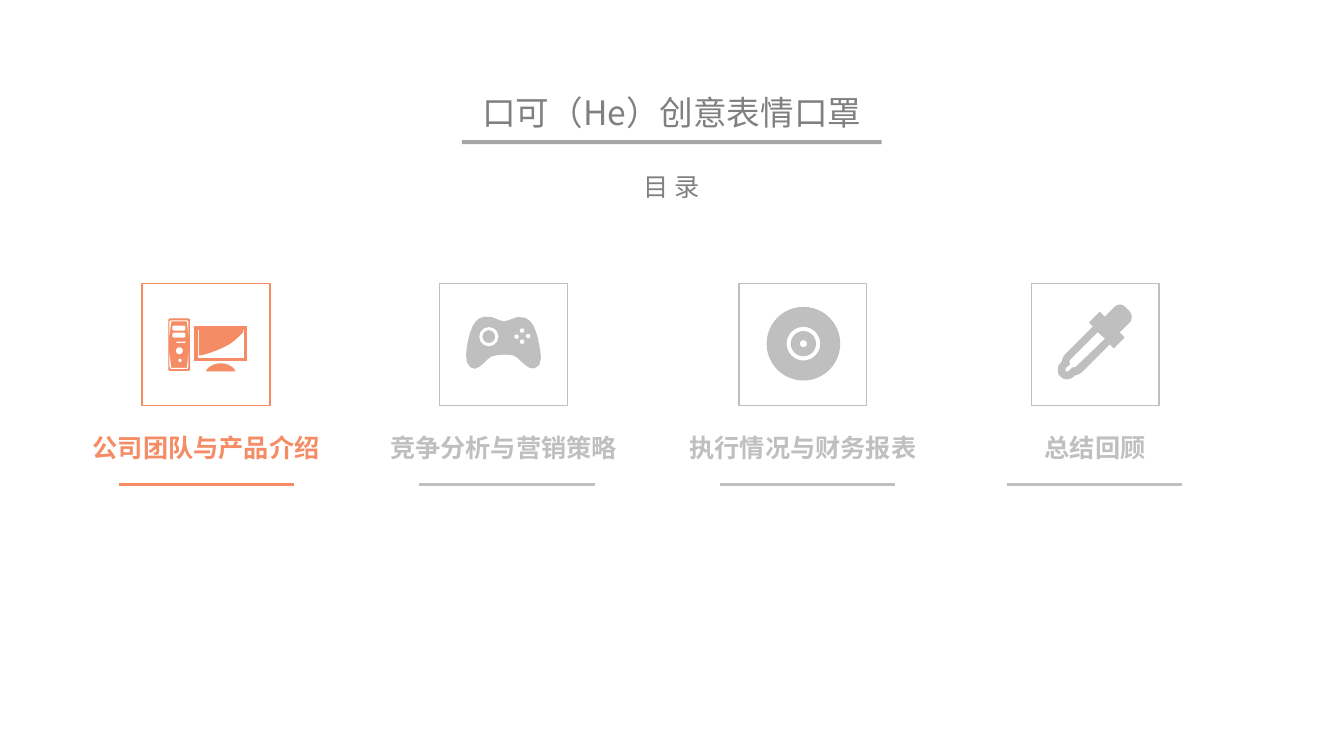
from lxml.etree import SubElement
from pptx import Presentation
from pptx.dml.color import RGBColor
from pptx.enum.shapes import MSO_CONNECTOR, MSO_SHAPE
from pptx.enum.text import PP_ALIGN
from pptx.oxml.ns import qn
from pptx.util import Pt

FONT = "Noto Sans CJK SC"
ORANGE = RGBColor(0xF5, 0x8C, 0x65)
SILVER = RGBColor(0xBF, 0xBF, 0xBF)
TEXT_GRAY = RGBColor(0x80, 0x80, 0x80)
BAR_GRAY = RGBColor(0xA6, 0xA6, 0xA6)
WHITE = RGBColor(0xFF, 0xFF, 0xFF)
UNIT = 0.72
FINE = 100
FRAME_W, FRAME_H = 91.4, 87.4
RULE_W = 125.2
OVAL, DONUT = MSO_SHAPE.OVAL, MSO_SHAPE.DONUT
ROUNDED, SCREEN = MSO_SHAPE.ROUNDED_RECTANGLE, MSO_SHAPE.FRAME


def curve(start, *segments):
    """Return the points of an outline; pairs are lines, sextuples are Bézier curves."""
    points = [start]
    for seg in segments:
        if len(seg) == 2:
            points.append(seg)
            continue
        (x0, y0), (x1, y1, x2, y2, x3, y3) = points[-1], seg
        steps = 5 if abs(x3 - x0) + abs(y3 - y0) > 9 else 2
        for i in range(1, steps + 1):
            t, u = i / steps, 1 - i / steps
            a, b, c, d = u ** 3, 3 * u * u * t, 3 * u * t * t, t ** 3
            points.append((a * x0 + b * x1 + c * x2 + d * x3,
                           a * y0 + b * y1 + c * y2 + d * y3))
    return points


GLARE = [curve((81, 63), (71, 68, 57, 72, 57, 71), (57, 46), (100, 46), (100, 48),
               (100, 48, 91, 59, 81, 63))]
STAND = [curve((78, 80), (72, 80, 66, 83, 64, 87), (92, 87), (90, 83, 84, 80, 78, 80))]
GAMEPAD = [curve((97, 54), (94, 44, 91, 33, 78, 34), (73, 35, 69, 38, 64, 38),
                 (59, 38, 56, 35, 51, 34), (39, 32, 35, 38, 31, 49),
                 (29, 56, 23, 78, 31, 83), (38, 89, 46, 74, 52, 72),
                 (58, 70, 69, 70, 73, 71), (80, 73, 87, 86, 94, 84),
                 (105, 82, 98, 61, 97, 54))]
DROPPER = [
    curve((97, 28), (93, 24), (90, 21, 86, 21, 83, 24), (73, 34), (68, 29), (58, 39),
          (62, 43), (34, 71), (32, 73, 31, 76, 31, 78), (29, 80), (26, 83, 26, 89, 29, 92),
          (31, 94, 33, 95, 35, 95), (38, 95, 40, 94, 42, 92), (43, 91),
          (46, 91, 48, 89, 50, 88), (78, 60), (82, 64), (92, 54), (87, 49), (97, 39),
          (100, 36, 100, 31, 97, 28)),
    curve((45, 83), (43, 84), (41, 84), (37, 88), (34, 88), (33, 87, 33, 85, 34, 84),
          (38, 80), (37, 79, 37, 77, 38, 76), (66, 48), (74, 55)),
]
TOWER_EDGES = [
    [(46, 53), (44.5, 38), (29, 38), (27, 53), (27, 38), (28.5, 37), (45, 37), (46, 38)],
    [(46, 69), (44.5, 84), (29, 84), (27, 69), (27, 83), (28.5, 85), (45, 85), (46, 83)],
]
COMPUTER = {
    "outlines": [(GLARE, True), (STAND, True)],
    "presets": [
        (SCREEN, 52, 43, 52, 34, 0.075, True),
        (ROUNDED, 26.5, 35.5, 20.5, 51, 0.06, True),
        (ROUNDED, 30, 42, 13, 5, 0.35, False), (ROUNDED, 30, 49, 13, 5, 0.35, False),
        (ROUNDED, 34, 58, 9, 1.2, 0.5, False),
        (OVAL, 33.6, 63.6, 6.8, 6.8, None, False), (OVAL, 36, 75, 3.2, 3.2, None, False),
    ],
    "cutouts": TOWER_EDGES,
}
CONTROLLER = {
    "outlines": [(GAMEPAD, True)],
    "presets": [(DONUT, 39.5, 43.5, 19, 19, 0.16, False)]
    + [(OVAL, x, y, 4.4, 4.4, None, False)
       for x, y in ((79.8, 44.8), (74.3, 50.8), (79.8, 55.8), (85.8, 50.3))],
    "cutouts": [],
}
DISC = {
    "outlines": [],
    "presets": [(DONUT, 28, 24, 72, 72, 0.26, True), (DONUT, 52, 48, 24, 24, 0.33, True)],
    "cutouts": [],
}
PIPETTE = {"outlines": [(DROPPER, True)], "presets": [], "cutouts": []}
SECTIONS = [
    ("公司团队与产品介绍", 101.5, 85, ORANGE, COMPUTER),
    ("竞争分析与营销策略", 313.9, 299.5, SILVER, CONTROLLER),
    ("执行情况与财务报表", 527.8, 514.1, SILVER, DISC),
    ("总结回顾", 736.6, 719.3, SILVER, PIPETTE),
]


def add_text(slide, text, x, y, w, h, size, color, bold=False):
    """Add a centred line of text in the given box."""
    tf = slide.shapes.add_textbox(Pt(x), Pt(y), Pt(w), Pt(h)).text_frame
    tf.word_wrap = True
    p = tf.paragraphs[0]
    p.text = text
    p.alignment = PP_ALIGN.CENTER
    p.font.size, p.font.bold, p.font.name = Pt(size), bold, FONT
    p.font.color.rgb = color
    SubElement(p.font._element, qn("a:ea")).set("typeface", FONT)


def paint(sp, color, outlined=False):
    """Fill a shape with one colour and give it a matching outline or none."""
    sp.shadow.inherit = False
    sp.fill.solid()
    sp.fill.fore_color.rgb = color
    if outlined:
        sp.line.color.rgb = color
        sp.line.width = Pt(0.75)
    else:
        sp.line.fill.background()


def add_outline(shapes, contours, x, y, color, outlined):
    """Draw contours as one filled shape whose inner contours are holes."""
    builder = None
    for contour in contours:
        points = [(px * FINE, py * FINE) for px, py in contour]
        if builder is None:
            builder = shapes.build_freeform(*points[0], scale=Pt(UNIT) / FINE)
        else:
            builder.move_to(*points[0])
        builder.add_line_segments(points[1:], close=True)
    paint(builder.convert_to_shape(Pt(x), Pt(y)), color, outlined)


def add_icon(shapes, icon, x, y, color):
    """Draw the parts of an icon relative to the corner x, y of its frame."""
    for contours, outlined in icon["outlines"]:
        add_outline(shapes, contours, x, y, color, outlined)
    for kind, left, top, w, h, adjust, inked in icon["presets"]:
        sp = shapes.add_shape(kind, Pt(x + left * UNIT), Pt(y + top * UNIT),
                              Pt(w * UNIT), Pt(h * UNIT))
        if adjust is not None:
            sp.adjustments[0] = adjust
        paint(sp, color if inked else WHITE, inked)
    for contour in icon["cutouts"]:
        add_outline(shapes, [contour], x, y, WHITE, False)


def add_section(slide, label, x, y, rule_x, color, icon):
    """Add a framed icon at x, y with its label and rule below."""
    shapes = slide.shapes.add_group_shape().shapes
    add_icon(shapes, icon, x, y, color)
    frame = shapes.add_shape(MSO_SHAPE.RECTANGLE, Pt(x), Pt(y), Pt(FRAME_W), Pt(FRAME_H))
    frame.shadow.inherit = False
    frame.fill.background()
    frame.line.color.rgb = color
    frame.line.width = Pt(1)
    add_text(slide, label, x + FRAME_W / 2 - 90, y + 102.6, 180, 29, 18, color, True)
    rule = slide.shapes.add_connector(MSO_CONNECTOR.STRAIGHT, Pt(rule_x), Pt(y + 144),
                                      Pt(rule_x + RULE_W), Pt(y + 144))
    rule.line.color.rgb = color
    rule.line.width = Pt(2.25)
    SubElement(rule._element.spPr, qn("a:effectLst"))


def add_heading(slide, x, y, w):
    """Add the title, its bar and the subtitle, centred in the width given."""
    add_text(slide, "口可（He）创意表情口罩", x, y, w, 36, 24, TEXT_GRAY)
    bar = slide.shapes.add_shape(MSO_SHAPE.RECTANGLE, Pt(x + w / 2 - 150), Pt(y + 38.2),
                                 Pt(300), Pt(2.9))
    paint(bar, BAR_GRAY)
    add_text(slide, "目 录", x, y + 56.9, w, 29, 18, TEXT_GRAY)


def main():
    """Build the contents slide and save it."""
    prs = Presentation()
    prs.slide_width, prs.slide_height = Pt(960), Pt(540)
    slide = prs.slides.add_slide(prs.slide_layouts[6])
    for label, x, rule_x, color, icon in SECTIONS:
        add_section(slide, label, x, 202.3, rule_x, color, icon)
    add_heading(slide, 216.7, 61.9, 526.3)
    prs.save("out.pptx")


if __name__ == "__main__":
    main()
